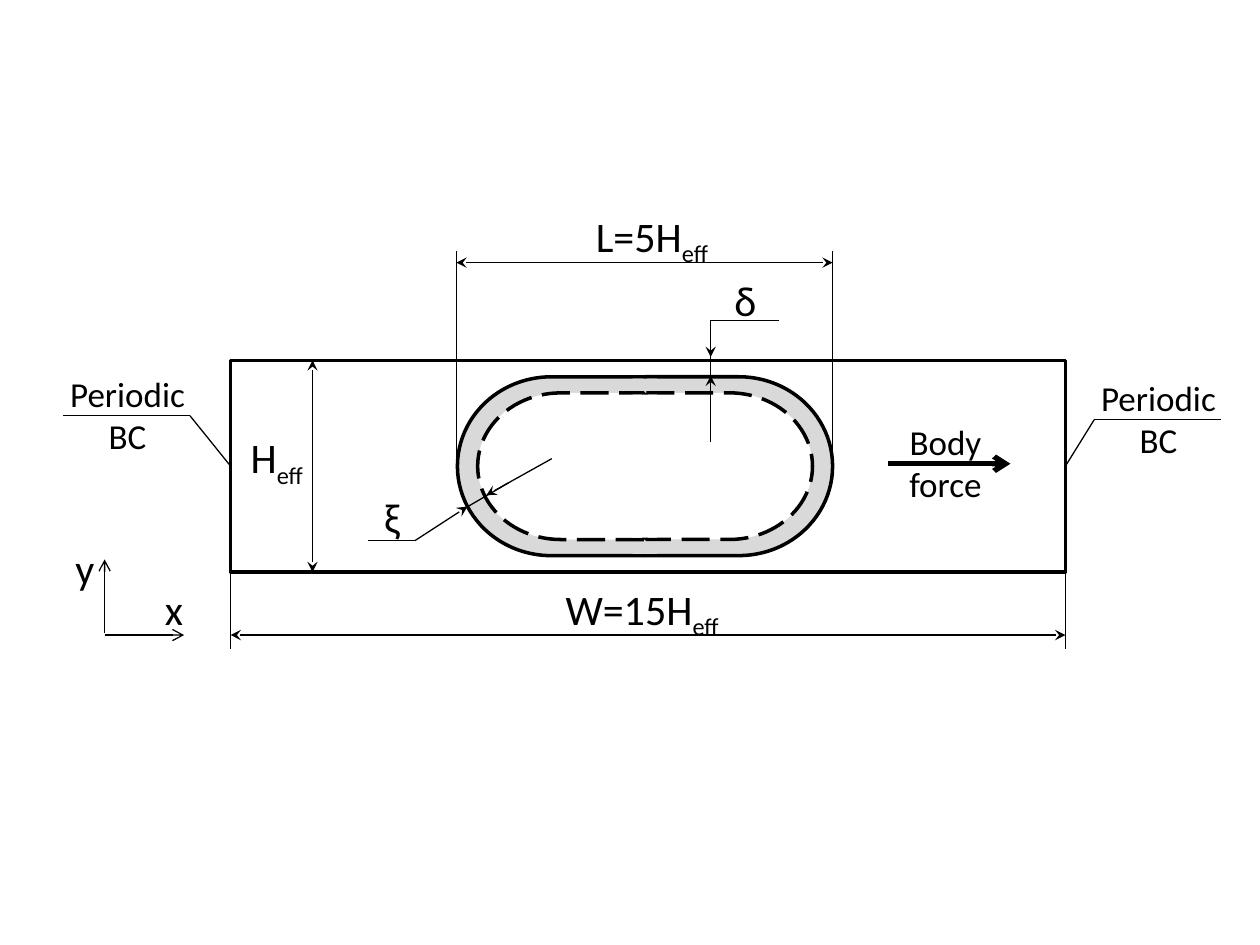
from lxml import etree
from pptx import Presentation
from pptx.dml.color import RGBColor
from pptx.enum import dml, shapes, text
from pptx.oxml import ns
from pptx.util import Pt

COLORS = {"ink": "000000", "paper": "FFFFFF", "film": "D9D9D9"}
MSO = shapes.MSO_SHAPE


def rgb(name):
    """Return the named colour."""
    return RGBColor.from_string(COLORS[name])


def line(s, x1, y1, x2, y2, head=None, tail=None, width=0.75):
    """Draw a straight line with optional arrowheads at its start and end."""
    c = s.shapes.add_connector(shapes.MSO_CONNECTOR.STRAIGHT, Pt(x1), Pt(y1), Pt(x2), Pt(y2))
    c.line.color.rgb = rgb("ink")
    c.line.width = Pt(width)
    ln = c.line._get_or_add_ln()
    for tag, kind in (("a:headEnd", head), ("a:tailEnd", tail)):
        if kind:
            etree.SubElement(ln, ns.qn(tag), type=kind)
    etree.SubElement(c._element.spPr, ns.qn("a:effectLst"))


def shape(s, kind, x, y, w, h, fill, outlined=True, dash=None, rotation=0):
    """Draw a filled preset shape."""
    sp = s.shapes.add_shape(kind, Pt(x), Pt(y), Pt(w), Pt(h))
    sp.shadow.inherit = False
    sp.rotation = rotation
    sp.fill.solid()
    sp.fill.fore_color.rgb = rgb(fill)
    if outlined:
        sp.line.color.rgb = rgb("ink")
        sp.line.width = Pt(2)
        if dash:
            sp.line.dash_style = dash
    else:
        sp.line.fill.background()


def label(s, x, y, w, words, sub="", size=24, h=36, align=text.PP_ALIGN.LEFT):
    """Write a label with an optional subscript."""
    tf = s.shapes.add_textbox(Pt(x), Pt(y), Pt(w), Pt(h)).text_frame
    tf.word_wrap = True
    p = tf.paragraphs[0]
    p.alignment = align
    for part, base in ((words, None), (sub, "-25000")):
        if part:
            r = p.add_run()
            r.text = part
            r.font.size = Pt(size)
            r.font.name = "Calibri"
            r.font.color.rgb = rgb("ink")
            if base:
                r.font._element.set("baseline", base)


def note(s, x, y, words):
    """Write a centred two-line note."""
    label(s, x, y, 84.24, words, size=20, h=55.4, align=text.PP_ALIGN.CENTER)


def channel(s, x, y, w, h):
    """Draw the channel with its width and height dimensions."""
    shape(s, MSO.RECTANGLE, x, y, w, h, "paper")
    for edge in (x, x + w):
        line(s, edge, y + h / 2, edge, y + 165)
    line(s, x, y + 157, x + w, y + 157, "stealth", "stealth")
    line(s, x + 46.8, y, x + 46.8, y + h, "stealth", "stealth")
    label(s, x + 4.3, y + 37.4, 49, "H", "eff")
    label(s, x + 184.3, y + 123.8, 112.3, "W=15H", "eff")


def capsule(s, x, y, w, h, fill, gap=0, dash=None):
    """Join two rounded halves and hide their seam."""
    half = (w - gap) / 2
    shape(s, MSO.FLOWCHART_DELAY, x + half + gap, y, half, h, fill, dash=dash)
    shape(s, MSO.FLOWCHART_DELAY, x, y, half, h, fill, dash=dash, rotation=180)
    shape(s, MSO.RECTANGLE, x + w / 2 - 7, y + 1, 14, h - 2, fill, outlined=False)


def bubble(s, x, y, w, h):
    """Draw the bubble, its interface layer and its length dimension."""
    capsule(s, x, y, w, h, "film")
    capsule(s, x + 11.5, y + 9.2, w - 23, h - 18.4, "paper", 1.4, dml.MSO_LINE.LONG_DASH)
    for edge in (x - 0.6, x + w):
        line(s, edge, y - 72, edge, y + h / 2)
    line(s, x - 0.6, y - 65.2, x + w, y - 65.2, "stealth", "stealth")
    label(s, x + 72, y - 98.7, 98, "L=5H", "eff")


def film_gap(s, x, y):
    """Mark the gap between the bubble and the channel wall."""
    line(s, x, y + 48.2, x, y + 11.5)
    line(s, x, y, x, y + 21, tail="stealth")
    line(s, x, y + 69.8, x, y + 31.7, tail="stealth")
    line(s, x, y, x + 38.9, y)
    label(s, x + 6.5, y - 29.5, 26, "δ")


def interface_width(s, x, y):
    """Mark the thickness of the interface layer."""
    line(s, x + 54.7, y - 18, x + 80.6, y - 33.1)
    line(s, x + 105.1, y - 46.8, x + 67.7, y - 25.9, tail="stealth")
    line(s, x + 27, y, x + 56.9, y - 19.4, tail="stealth")
    line(s, x, y, x + 27.4, y)
    label(s, x + 2.2, y - 31.7, 32.4, "ξ")


def boundary(s, x, y, w, wall_x, wall_y):
    """Write a boundary note with a leader to the wall."""
    near = x if wall_x > x + w else x + w
    near = x + w if near == x else x
    line(s, x, y, x + w, y)
    line(s, near, y, wall_x, wall_y)
    note(s, x - 5.4, y - 28.1, "Periodic BC")


def body_force(s, x, y, w):
    """Draw the body force arrow with its note."""
    line(s, x, y, x + w, y, tail="arrow", width=3)
    note(s, x - 9.4, y - 28.1, "Body force")


def axes(s, x, y):
    """Draw the coordinate axes."""
    line(s, x, y, x + 45.4, y, tail="arrow")
    line(s, x, y - 1, x, y - 43.2, tail="arrow")
    label(s, x - 23.8, y - 56.2, 26, "y")
    label(s, x + 27.3, y - 33.1, 26, "x")


def main():
    """Build the slide."""
    prs = Presentation()
    prs.slide_width, prs.slide_height = Pt(720), Pt(540)
    s = prs.slides.add_slide(prs.slide_layouts[6])
    x, y, w, h = 131.8, 205.9, 477, 121
    channel(s, x, y, w, h)
    bubble(s, 261.4, 215.3, 214.4, 102.2)
    film_gap(s, 406.1, 183)
    interface_width(s, 210.2, 308.9)
    boundary(s, 36.2, 237.6, 72.4, x, y + h / 2)
    boundary(s, 625.3, 239.8, 72.4, x + w, y + h / 2)
    body_force(s, 507.6, 265, 69.8)
    axes(s, 59.8, 362.9)
    prs.save("out.pptx")


main()
